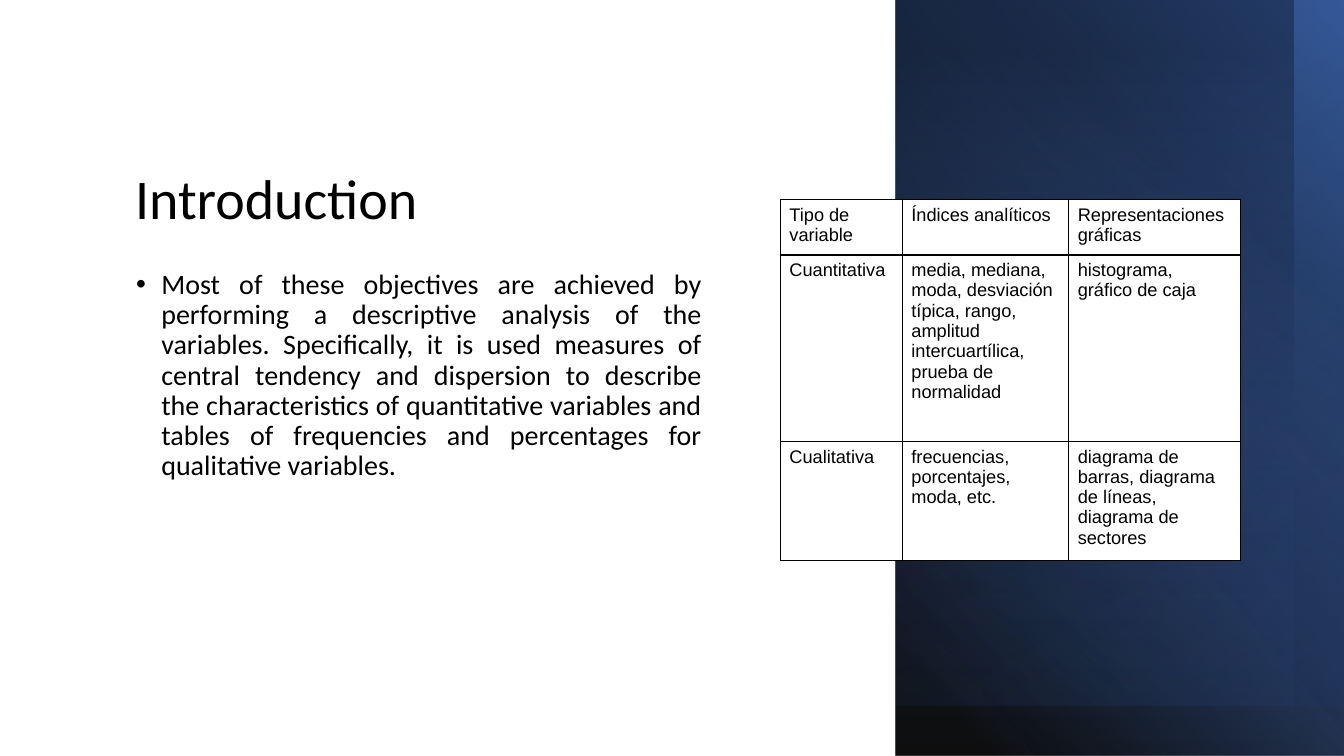
from lxml import etree
from pptx import Presentation
from pptx.dml.color import RGBColor
from pptx.enum import shapes, text
from pptx.oxml import parse_xml
from pptx.oxml.ns import nsdecls, qn
from pptx.util import Inches, Pt

BLACK = RGBColor(0, 0, 0)
WHITE = RGBColor(255, 255, 255)
BLUE = RGBColor(0x44, 0x72, 0xC4)
NAVY = RGBColor(0x20, 0x38, 0x64)

BODY = (
    "Most of these objectives are achieved by performing a descriptive "
    "analysis of the variables. Specifically, it is used measures of central "
    "tendency and dispersion to describe the characteristics of quantitative "
    "variables and tables of frequencies and percentages for qualitative variables."
)

# Width, height, angle, then stops of position, colour and opacity
PANELS = [
    (4.48, 7.5, 40, [(8, BLACK, 94), (100, BLUE, 100)]),
    (4.48, 7, 300, [(31, NAVY, 0), (100, NAVY, 26)]),
    (4.45, 7, 50, [(0, BLUE, 0), (72, BLACK, 21)]),
    (3.95, 7.5, 90, [(0, BLUE, 0), (93, BLACK, 29)]),
]

ROWS = [
    ("Tipo de variable", "Índices analíticos", "Representaciones gráficas"),
    ("Cuantitativa",
     "media, mediana, moda, desviación típica, rango, amplitud intercuartílica, "
     "prueba de normalidad",
     "histograma, gráfico de caja"),
    ("Cualitativa", "frecuencias, porcentajes, moda, etc.",
     "diagrama de barras, diagrama de líneas, diagrama de sectores"),
]


def write(frame, words, font="Calibri", size=20, color=BLACK,
          align=text.PP_ALIGN.LEFT, line=None, bullet=None):
    frame.word_wrap = True
    par = frame.paragraphs[0]
    par.text = words
    if bullet:
        props = par._p.get_or_add_pPr()
        props.set("marL", str(Inches(0.25)))
        props.set("indent", str(Inches(-0.25)))
        etree.SubElement(props, qn("a:buChar")).set("char", bullet)
    par.alignment = align
    par.space_before = Pt(0)
    if line:
        par.line_spacing = line
    par.font.name = font
    par.font.size = Pt(size)
    par.font.color.rgb = color


class Deck:
    def __init__(self):
        self.prs = Presentation()
        self.prs.slide_width = Inches(13.33)
        self.prs.slide_height = Inches(7.5)
        self.slide = self.prs.slides.add_slide(self.prs.slide_layouts[1])

    def holder(self, index, box, words, anchor, **style):
        item = self.slide.placeholders[index]
        item.left, item.top, item.width, item.height = map(Inches, box)
        frame = item.text_frame
        frame.auto_size = text.MSO_AUTO_SIZE.NONE
        frame.vertical_anchor = anchor
        write(frame, words, line=0.9, **style)

    def panel(self, wide, high, angle, stops):
        box = self.slide.shapes.add_shape(
            shapes.MSO_SHAPE.RECTANGLE, Inches(8.88), 0, Inches(wide), Inches(high))
        box.shadow.inherit = False
        box.line.fill.background()
        box.rotation = 180
        props = box._element.spPr
        props.find(qn("a:xfrm")).set("flipH", "1")
        marks = "".join(
            f'<a:gs pos="{pos * 1000}"><a:srgbClr val="{color}">'
            f'<a:alpha val="{alpha * 1000}"/></a:srgbClr></a:gs>'
            for pos, color, alpha in stops)
        # A plain fill holds the place of the gradient
        box.fill.background()
        props.replace(props.find(qn("a:noFill")), parse_xml(
            f'<a:gradFill {nsdecls("a")} rotWithShape="1"><a:gsLst>{marks}</a:gsLst>'
            f'<a:lin ang="{angle * 60000}" scaled="0"/></a:gradFill>'))

    def border(self, cell):
        props = cell._tc.get_or_add_tcPr()
        for side in ("lnL", "lnR", "lnT", "lnB"):
            props.append(parse_xml(
                f'<a:{side} {nsdecls("a")} w="{Pt(1)}"><a:solidFill>'
                f'<a:srgbClr val="{BLACK}"/></a:solidFill></a:{side}>'))

    def table(self, left, top, cols, highs, rows):
        grid = self.slide.shapes.add_table(
            len(rows), len(cols), Inches(left), Inches(top),
            Inches(sum(cols)), Inches(sum(highs))).table
        grid.first_row = grid.horz_banding = False
        for col, wide in zip(grid.columns, cols):
            col.width = Inches(wide)
        for row, high, words in zip(grid.rows, highs, rows):
            row.height = Inches(high)
            for cell, word in zip(row.cells, words):
                cell.margin_left = cell.margin_right = Inches(0.09)
                cell.margin_top = cell.margin_bottom = Inches(0.05)
                self.border(cell)
                cell.fill.solid()
                cell.fill.fore_color.rgb = WHITE
                write(cell.text_frame, word, font="Arial", size=13)


def main():
    deck = Deck()
    # Title and body
    deck.holder(0, (1.24, 0.55, 5.82, 1.8), "Introduction",
                text.MSO_ANCHOR.BOTTOM, size=40)
    deck.holder(1, (1.25, 2.63, 5.81, 3.87), BODY, text.MSO_ANCHOR.TOP,
                align=text.PP_ALIGN.JUSTIFY, bullet="•")
    # Layered blue side panel
    for panel in PANELS:
        deck.panel(*panel)
    # Table of variables
    deck.table(7.74, 1.98, (1.21, 1.65, 1.7), (0.55, 1.85, 1.18), ROWS)
    deck.prs.save("out.pptx")


if __name__ == "__main__":
    main()
